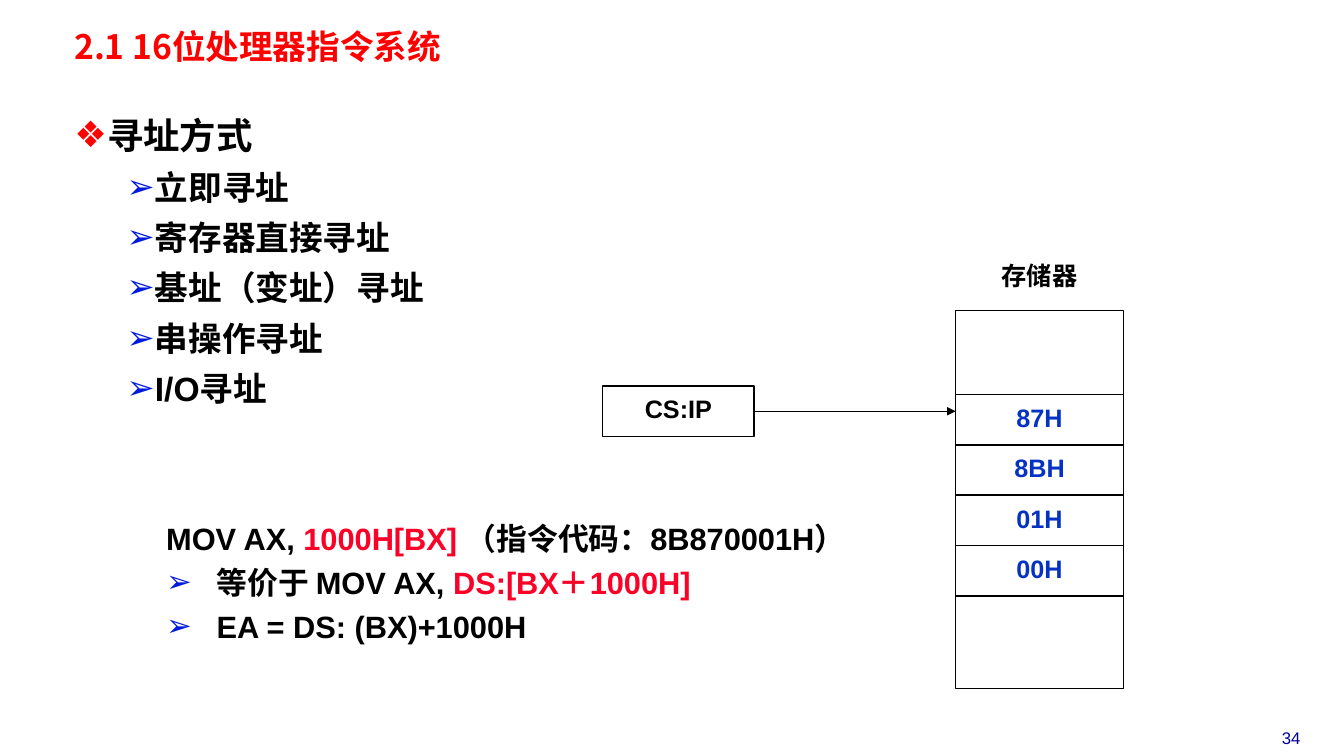
from lxml.etree import SubElement
from pptx import Presentation
from pptx.dml.color import RGBColor
from pptx.enum.shapes import MSO_CONNECTOR, MSO_SHAPE
from pptx.enum.text import MSO_ANCHOR, MSO_AUTO_SIZE, PP_ALIGN
from pptx.oxml.ns import qn
from pptx.util import Inches, Pt

COLS, ROWS = 80, 45
CJK = "Noto Sans CJK SC"
BLACK, RED, BLUE, CRIMSON = "000000", "FF0000", "001ADC", "FC0128"

prs = Presentation()
prs.slide_width, prs.slide_height = Inches(13.33), Inches(7.5)


def rgb(value):
    return RGBColor.from_string(value)


def grid(col, row, *size):
    scale = (prs.slide_width / COLS, prs.slide_height / ROWS)
    return [round(v * scale[i % 2]) for i, v in enumerate((col, row, *size))]


def apply(obj, values):
    for name, value in values.items():
        setattr(obj, name, value)


def add_runs(p, runs, size, bold=True, font="Arial"):
    for text, color in runs:
        r = p.add_run()
        r.text = text
        apply(r.font, {"size": Pt(size), "bold": bold, "name": font})
        r.font.color.rgb = rgb(color)
        SubElement(r.font._element, qn("a:ea"), typeface=CJK)


def add_bullet(p, char, color, left, hanging):
    pPr = p._p.get_or_add_pPr()
    pPr.set("marL", str(Inches(left)))
    pPr.set("indent", str(-Inches(hanging)))
    SubElement(SubElement(pPr, qn("a:buClr")), qn("a:srgbClr"), val=color)
    SubElement(pPr, qn("a:buFont"), typeface="Arial")
    SubElement(pPr, qn("a:buChar"), char=char)


def add_text_box(slide, box, **margins):
    tf = slide.shapes.add_textbox(*grid(*box)).text_frame
    apply(tf, {"word_wrap": True, "auto_size": MSO_AUTO_SIZE.SHAPE_TO_FIT_TEXT, **margins})
    return tf


def add_label(slide, box, text, size, color=BLACK, bold=True, spacing=0.85):
    p = add_text_box(slide, box).paragraphs[0]
    apply(p, {"alignment": PP_ALIGN.CENTER, "line_spacing": spacing})
    add_runs(p, [(text, color)], size, bold)


def add_cell(slide, box, text="", color=BLACK):
    sp = slide.shapes.add_shape(MSO_SHAPE.RECTANGLE, *grid(*box))
    sp.shadow.inherit = False
    sp.fill.background()
    sp.line.color.rgb = rgb(BLACK)
    sp.line.width = Pt(1)
    if text:
        apply(sp.text_frame, {"word_wrap": False, "vertical_anchor": MSO_ANCHOR.MIDDLE})
        p = sp.text_frame.paragraphs[0]
        apply(p, {"alignment": PP_ALIGN.CENTER, "line_spacing": 0.85})
        add_runs(p, [(text, color)], 18)
    return sp


def add_title(slide, box, text):
    tf = add_text_box(slide, box, **TIGHT)
    p = tf.paragraphs[0]
    p.line_spacing = 0.87
    add_runs(p, [(text, RED)], 24, font=CJK)


def add_outline(slide, box, heading, items):
    tf = add_text_box(slide, box, **TIGHT)
    for i, text in enumerate([heading, *items]):
        p = tf.paragraphs[0] if i == 0 else tf.add_paragraph()
        p.line_spacing = 1.25
        if i == 0:
            add_bullet(p, "❖", RED, 0.31, 0.31)
        else:
            p.level = 1
            add_bullet(p, "➢", BLUE, 0.73, 0.21)
        add_runs(p, [(text, BLACK)], 24 if i else 26)


def add_memory(slide, box, title, cells):
    left, top, width, label_height = box
    add_label(slide, box, title, 18)
    row = top + 3
    for text, height in cells:
        add_cell(slide, (left, row, width, height), text, "0532C3")
        row += height


def add_pointer(slide, box, text, target_col):
    left, top, width, height = box
    sp = add_cell(slide, box, text)
    middle = top + height / 2
    line = slide.shapes.add_connector(
        MSO_CONNECTOR.STRAIGHT, *grid(left + width, middle, target_col, middle))
    line.begin_connect(sp, 3)
    line.line.color.rgb = rgb(BLACK)
    line.line.width = Pt(1)
    SubElement(line.line._get_or_add_ln(), qn("a:tailEnd"), type="triangle")
    SubElement(line._element.spPr, qn("a:effectLst"))


def add_example(slide, box, lines):
    tf = add_text_box(slide, box)
    for i, runs in enumerate(lines):
        p = tf.paragraphs[0] if i == 0 else tf.add_paragraph()
        p.line_spacing = 0.85
        if i:
            p.space_before = Pt(9)
            add_bullet(p, "➢", BLUE, 0.5, 0.5)
        add_runs(p, runs, 22)


TIGHT = {"margin_left": Inches(0.07), "margin_right": Inches(0.07),
         "margin_top": Inches(0.03), "margin_bottom": Inches(0.03)}


def main():
    slide = prs.slides.add_slide(prs.slide_layouts[6])
    memory_col = 56.88
    add_label(slide, (74.04, 43, 5.64, 1.8), "34", 12, "000099", False, 1.0)
    add_title(slide, (4, 1.68, 46.5, 2.46), "2.1 16位处理器指令系统")
    add_outline(slide, (4, 5.88, 53.5, 18.42), "寻址方式",
                ["立即寻址", "寄存器直接寻址", "基址（变址）寻址", "串操作寻址", "I/O寻址"])
    add_memory(slide, (memory_col, 15.48, 10, 2.16), "存储器",
               [("", 5), ("87H", 3), ("8BH", 3), ("01H", 3), ("00H", 3), ("", 5.5)])
    add_pointer(slide, (35.88, 22.98, 9, 3), "CS:IP", memory_col)
    add_example(slide, (9.3, 30.96, 46.8, 8.04), [
        [("MOV AX, ", BLACK), ("1000H[BX]", CRIMSON), (" （指令代码：8B870001H）", BLACK)],
        [("等价于 MOV AX, ", BLACK), ("DS:[BX＋1000H]", CRIMSON)],
        [("EA = DS: (BX)+1000H", BLACK)],
    ])
    prs.save("out.pptx")


if __name__ == "__main__":
    main()
